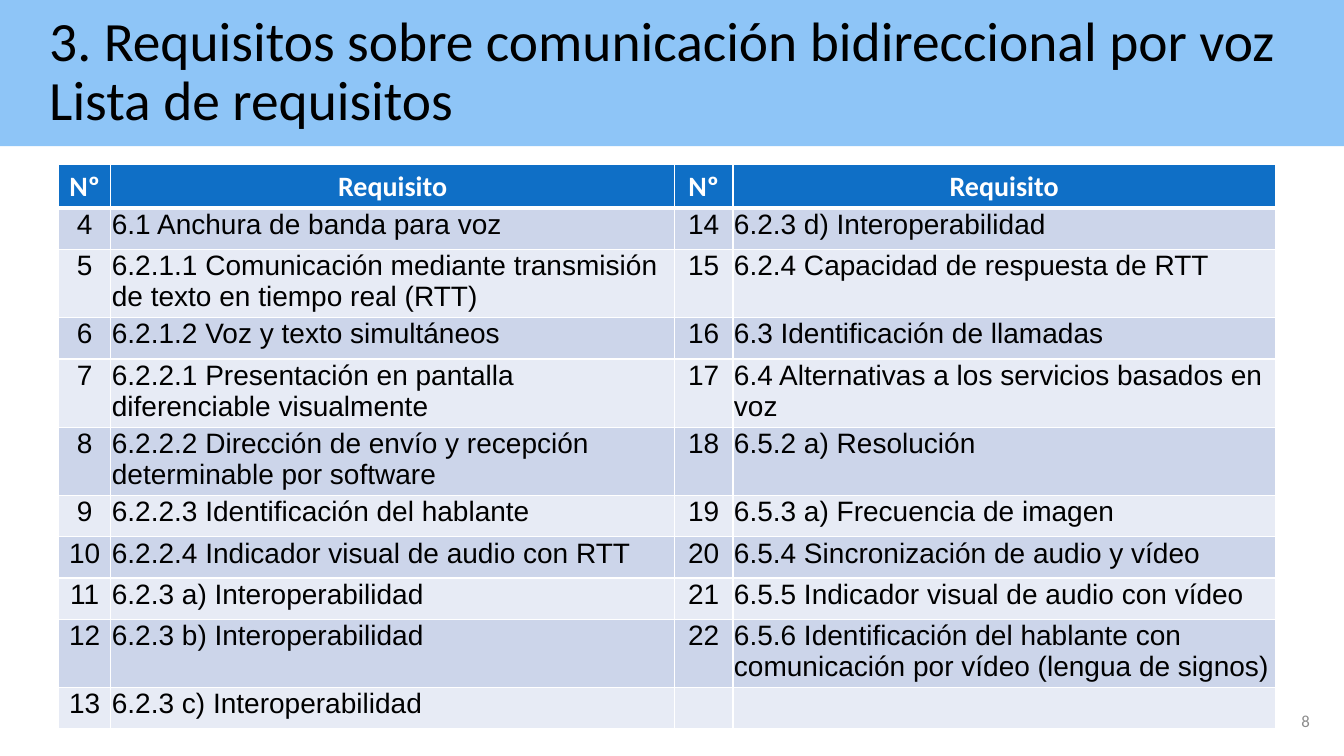
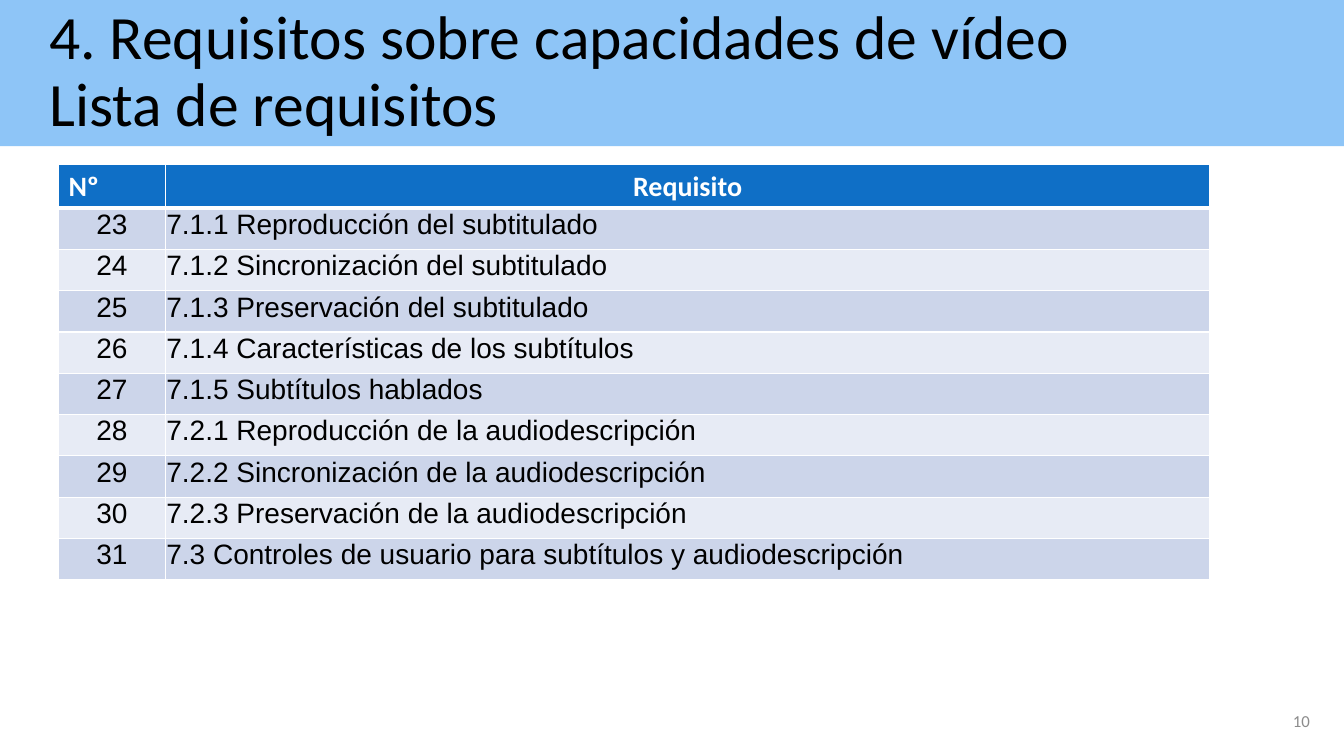
from lxml import etree
from pptx import Presentation
from pptx.dml.color import RGBColor
from pptx.enum.shapes import MSO_SHAPE
from pptx.enum.text import MSO_ANCHOR, PP_ALIGN
from pptx.oxml.ns import qn
from pptx.util import Inches, Pt

LEFT, CENTER, RIGHT = PP_ALIGN.LEFT, PP_ALIGN.CENTER, PP_ALIGN.RIGHT
MIDDLE = MSO_ANCHOR.MIDDLE
RECTANGLE = MSO_SHAPE.RECTANGLE

BLACK = RGBColor(0x00, 0x00, 0x00)
WHITE = RGBColor(0xFF, 0xFF, 0xFF)
GREY = RGBColor(0x8C, 0x8C, 0x8C)
BAND = RGBColor(0x8E, 0xC5, 0xF7)
HEADER = RGBColor(0x0F, 0x6F, 0xC6)
STRIPES = (RGBColor(0xCC, 0xD5, 0xEA), RGBColor(0xE7, 0xEB, 0xF5))

SLIDE_W, SLIDE_H = 13.33, 7.5
TITLE_BOX = (0, 0, SLIDE_W, 1.45)
NUMBER_BOX = (10.09, 6.95, 3, 0.4)
TABLE_LEFT, TABLE_TOP, ROW_H = 0.58, 1.63, 0.41

TITLE_FONT = {"name": "Calibri"}
NUMBER_FONT = {"name": "Calibri", "size": Pt(12)}
HEADER_FONT = {"name": "Calibri", "size": Pt(20), "bold": True}
BODY_FONT = {"name": "Arial", "size": Pt(20), "bold": False}
BODY_MARGINS = {"margin_left": 0.01, "margin_right": 0.01,
                "margin_top": 0.01, "margin_bottom": 0}

SLIDES = [
    {
        "title": ("3. Requisitos sobre comunicación bidireccional por voz",
                  "Lista de requisitos"),
        "title_size": 39.6,
        "number": 8,
        "first": 4,
        "number_header_align": CENTER,
        "widths": (0.52, 5.59, 0.58, 5.38),
        "columns": [
            ["6.1 Anchura de banda para voz",
             "6.2.1.1 Comunicación mediante transmisión de texto en tiempo real (RTT)",
             "6.2.1.2 Voz y texto simultáneos",
             "6.2.2.1 Presentación en pantalla diferenciable visualmente",
             "6.2.2.2 Dirección de envío y recepción determinable por software",
             "6.2.2.3 Identificación del hablante",
             "6.2.2.4 Indicador visual de audio con RTT",
             "6.2.3 a) Interoperabilidad",
             "6.2.3 b) Interoperabilidad",
             "6.2.3 c) Interoperabilidad"],
            ["6.2.3 d) Interoperabilidad",
             "6.2.4 Capacidad de respuesta de RTT",
             "6.3 Identificación de llamadas",
             "6.4 Alternativas a los servicios basados en voz",
             "6.5.2 a) Resolución",
             "6.5.3 a) Frecuencia de imagen",
             "6.5.4 Sincronización de audio y vídeo",
             "6.5.5 Indicador visual de audio con vídeo",
             "6.5.6 Identificación del hablante con comunicación por vídeo "
             "(lengua de signos)"],
        ],
    },
    {
        "title": ("4. Requisitos sobre capacidades de vídeo",
                  "Lista de requisitos"),
        "title_size": 44,
        "number": 10,
        "first": 23,
        "number_header_align": LEFT,
        "widths": (1.06, 10.36),
        "columns": [
            ["7.1.1 Reproducción del subtitulado",
             "7.1.2 Sincronización del subtitulado",
             "7.1.3 Preservación del subtitulado",
             "7.1.4 Características de los subtítulos",
             "7.1.5 Subtítulos hablados",
             "7.2.1 Reproducción de la audiodescripción",
             "7.2.2 Sincronización de la audiodescripción",
             "7.2.3 Preservación de la audiodescripción",
             "7.3 Controles de usuario para subtítulos y audiodescripción"],
        ],
    },
]


def inches(box):
    return [Inches(v) for v in box]


def write(p, text, font, color, align=LEFT):
    p.alignment = align
    r = p.add_run()
    r.text = text
    for name, value in font.items():
        setattr(r.font, name, value)
    r.font.color.rgb = color


def add_title(s, box, lines, size):
    sp = s.shapes.add_shape(RECTANGLE, *inches(box))
    sp.shadow.inherit = False
    sp.fill.solid()
    sp.fill.fore_color.rgb = BAND
    sp.line.fill.background()
    tf = sp.text_frame
    tf.word_wrap = True
    tf.vertical_anchor = MIDDLE
    p = tf.paragraphs[0]
    p.line_spacing = 0.9
    pPr = p._p.get_or_add_pPr()
    pPr.set("marL", str(Inches(0.39)))
    pPr.set("indent", "0")
    for i, line in enumerate(lines):
        if i:
            p.add_line_break()
        write(p, line, {**TITLE_FONT, "size": Pt(size)}, BLACK)


def add_slide_number(s, box, number):
    tf = s.shapes.add_textbox(*inches(box)).text_frame
    tf.word_wrap = True
    tf.vertical_anchor = MIDDLE
    write(tf.paragraphs[0], str(number), NUMBER_FONT, GREY, RIGHT)


def style_cell(cell, row):
    """Draw white borders, with a thick rule under the header, and fill the cell."""
    widths = {"lnL": 1, "lnR": 1, "lnT": 3 if row == 1 else 1,
              "lnB": 3 if row == 0 else 1}
    tcPr = cell._tc.get_or_add_tcPr()
    for tag, width in widths.items():
        ln = etree.SubElement(tcPr, qn("a:" + tag), w=str(Pt(width)))
        fill = etree.SubElement(ln, qn("a:solidFill"))
        etree.SubElement(fill, qn("a:srgbClr"), val=str(WHITE))
    cell.fill.solid()
    cell.fill.fore_color.rgb = STRIPES[(row - 1) % 2] if row else HEADER


def add_requirements(s, left, top, widths, columns, first, number_header_align):
    """Number the requirements from first, down each pair of columns in turn."""
    rows = 1 + max(len(texts) for texts in columns)
    box = (left, top, sum(widths), rows * ROW_H)
    table = s.shapes.add_table(rows, len(widths), *inches(box)).table
    for column, width in zip(table.columns, widths):
        column.width = Inches(width)
    for i, row in enumerate(table.rows):
        row.height = Inches(ROW_H)
        for cell in row.cells:
            style_cell(cell, i)

    number = first
    for pair, texts in enumerate(columns):
        col = 2 * pair
        headers = (("Nº", number_header_align), ("Requisito", CENTER))
        for offset, (text, align) in enumerate(headers):
            p = table.cell(0, col + offset).text_frame.paragraphs[0]
            write(p, text, HEADER_FONT, WHITE, align)
        for i, requirement in enumerate(texts, 1):
            entries = ((str(number), CENTER), (requirement, LEFT))
            for offset, (text, align) in enumerate(entries):
                cell = table.cell(i, col + offset)
                for name, value in BODY_MARGINS.items():
                    setattr(cell, name, Inches(value))
                write(cell.text_frame.paragraphs[0], text, BODY_FONT, BLACK, align)
            number += 1


def add_requirements_slide(prs, data):
    s = prs.slides.add_slide(prs.slide_layouts[6])
    add_title(s, TITLE_BOX, data["title"], data["title_size"])
    add_slide_number(s, NUMBER_BOX, data["number"])
    add_requirements(s, TABLE_LEFT, TABLE_TOP, data["widths"], data["columns"],
                     data["first"], data["number_header_align"])


def main():
    prs = Presentation()
    prs.slide_width, prs.slide_height = Inches(SLIDE_W), Inches(SLIDE_H)
    for data in SLIDES:
        add_requirements_slide(prs, data)
    prs.save("out.pptx")


if __name__ == "__main__":
    main()
